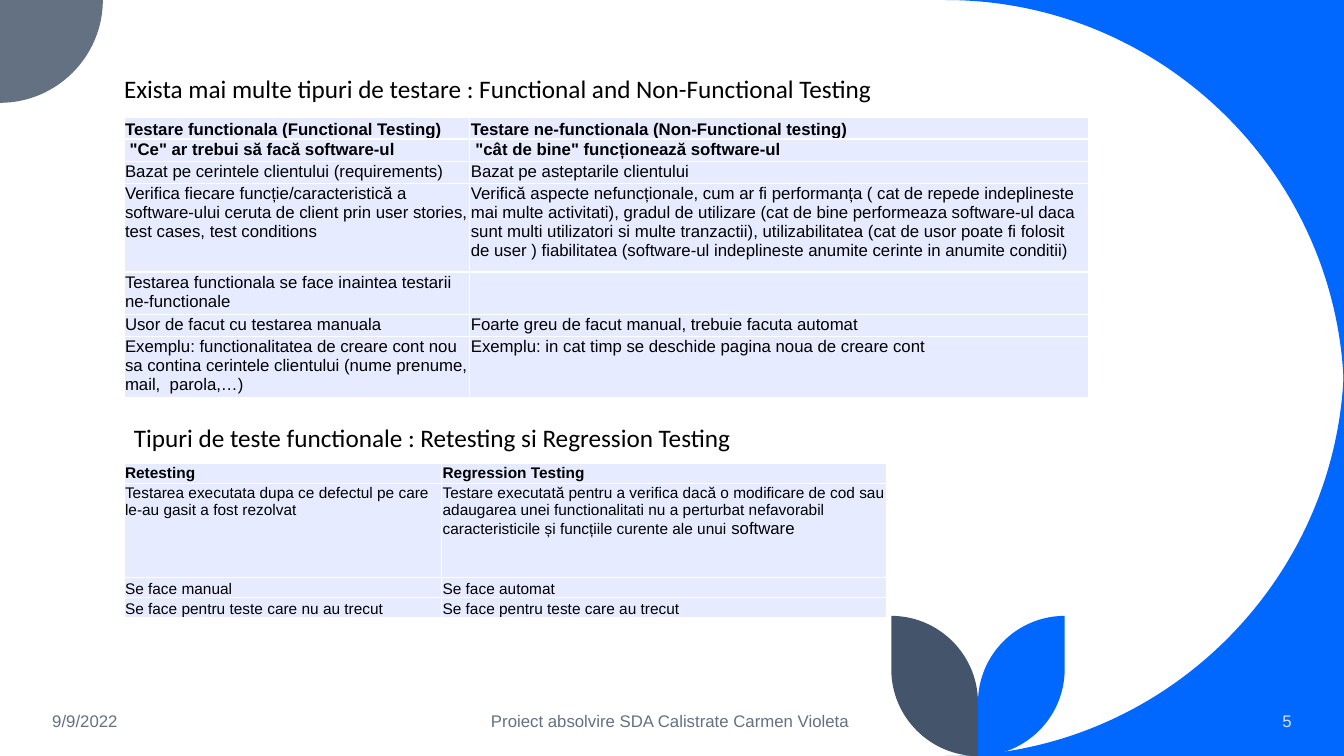
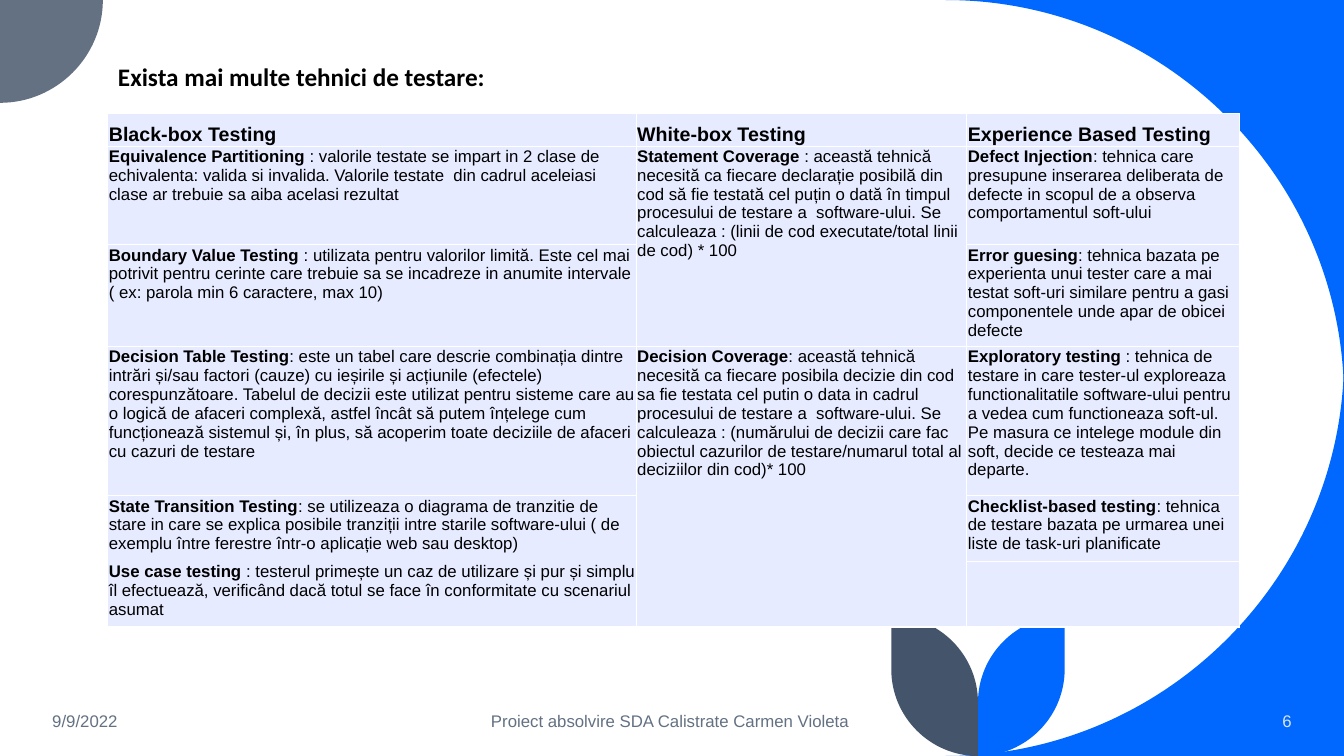
from lxml import etree
from pptx import Presentation
from pptx.dml.color import RGBColor
from pptx.enum.text import MSO_ANCHOR, MSO_AUTO_SIZE, PP_ALIGN
from pptx.oxml.ns import qn
from pptx.util import Inches, Pt

TOP, MIDDLE, BOTTOM = MSO_ANCHOR.TOP, MSO_ANCHOR.MIDDLE, MSO_ANCHOR.BOTTOM
LEFT, CENTER, RIGHT = PP_ALIGN.LEFT, PP_ALIGN.CENTER, PP_ALIGN.RIGHT
NO_AUTOFIT = MSO_AUTO_SIZE.NONE

WIDTH, HEIGHT = 13.33, 7.5
TITLE_ONLY = 5
FIRST_NUMBER = 5
ROUNDNESS = 0.55
DATE = "9/9/2022"
FOOTER = "Proiect absolvire SDA Calistrate Carmen Violeta "


def color(hex_value):
    return RGBColor.from_string(hex_value)


def toward(point, corner):
    return tuple(p + ROUNDNESS * (c - p) for p, c in zip(point, corner))


def quarter(start, corner, end):
    return [toward(start, corner), toward(end, corner), end]


def head(text, size=12):
    return [(text, True, size)]


def plain(text, size=12):
    return [(text, False, size)]


def technique(name, description):
    return head(name) + plain(description)


class Slides:
    BLUE, GRAY, NAVY = "0068FF", "637183", "44546A"
    BLACK, WHITE, PALE, CELL = "000000", "FFFFFF", "DAE5EF", "E7EBFF"
    BODY_FONT, TITLE_FONT = "Arial", "Calibri"

    def __init__(self):
        self.deck = Presentation()
        self.deck.slide_width = Inches(WIDTH)
        self.deck.slide_height = Inches(HEIGHT)
        self.page = None

    def new_page(self):
        self.page = self.deck.slides.add_slide(self.deck.slide_layouts[TITLE_ONLY])
        number = FIRST_NUMBER + len(self.deck.slides) - 1
        self.decorate()
        self.text(DATE, (0.42, 6.95, 3, 0.4), self.GRAY, LEFT)
        self.text(FOOTER, (4.42, 6.95, 4.5, 0.4), self.GRAY, CENTER)
        self.text(str(number), (11.1, 6.95, 1.81, 0.4), self.PALE, RIGHT)

    def decorate(self):
        swoop, corner = 3.95, 1.02
        for edge, tip in ((0, swoop), (HEIGHT, HEIGHT - swoop)):
            start, bend, end = (WIDTH - swoop, edge), (WIDTH, edge), (WIDTH, tip)
            self.outline(bend, [[start], quarter(start, bend, end)], self.BLUE)
        start, bend, end = (corner, 0), (corner, corner), (0, corner)
        self.outline((0, 0), [[start], quarter(start, bend, end)], self.GRAY)
        self.leaf(0.86, self.BLUE)
        self.leaf(-0.86, self.NAVY)

    def leaf(self, reach, fill):
        stem = 9.7
        side = stem + reach
        tip, shoulder, foot, fork = (side, 6.11), (side, 6.64), (stem, HEIGHT), (stem, 6.97)
        self.outline(tip, [[shoulder], quarter(shoulder, (side, HEIGHT), foot),
                           [fork], quarter(fork, (stem, 6.11), tip)], fill)

    def outline(self, start, segments, fill):
        points = [(Inches(x), Inches(y)) for segment in segments for x, y in segment]
        builder = self.page.shapes.build_freeform(Inches(start[0]), Inches(start[1]))
        builder.add_line_segments(points, close=True)
        shape = builder.convert_to_shape()
        steps = iter(list(shape.element.iter(qn("a:lnTo"))))
        for segment in segments:
            first, *others = [next(steps) for _ in segment]
            if others:
                curve = etree.Element(qn("a:cubicBezTo"))
                first.addprevious(curve)
                for step in (first, *others):
                    curve.append(step[0])
                    step.getparent().remove(step)
        shape.shadow.inherit = False
        shape.fill.solid()
        shape.fill.fore_color.rgb = color(fill)
        shape.line.fill.background()

    def span(self, para, text, size, font, tint, bold=False):
        span = para.add_run()
        span.text = text
        span.font.size = Pt(size)
        span.font.name = font
        span.font.bold = bold
        span.font.color.rgb = color(tint)

    def title(self, text, place, anchor, bold=False):
        box = self.page.shapes.title
        box.left, box.top, box.width, box.height = map(Inches, place)
        frame = box.text_frame
        frame.auto_size = NO_AUTOFIT
        frame.word_wrap = True
        frame.vertical_anchor = anchor
        para = frame.paragraphs[0]
        para.alignment = LEFT
        para.line_spacing = 0.9
        self.span(para, text, 18, self.TITLE_FONT, self.BLACK, bold)

    def text(self, text, place, tint, align, anchor=MIDDLE, size=12, font=BODY_FONT):
        frame = self.page.shapes.add_textbox(*map(Inches, place)).text_frame
        frame.word_wrap = True
        frame.vertical_anchor = anchor
        para = frame.paragraphs[0]
        para.alignment = align
        self.span(para, text, size, font, tint)

    def subtitle(self, text, place):
        self.text(text, place, self.BLACK, LEFT, TOP, 18, self.TITLE_FONT)

    def border(self, cell, side, visible):
        line = etree.SubElement(cell._tc.get_or_add_tcPr(), qn("a:" + side), w=str(Pt(1)))
        if visible:
            fill = etree.SubElement(line, qn("a:solidFill"))
            etree.SubElement(fill, qn("a:srgbClr"), val=self.WHITE)
        else:
            etree.SubElement(line, qn("a:noFill"))

    def table(self, left, top, widths, heights, rows, bottom_rows=(), merges=(), open_edges=()):
        frame = self.page.shapes.add_table(
            len(heights), len(widths), Inches(left), Inches(top),
            Inches(sum(widths)), Inches(sum(heights)))
        table = frame.table
        table.first_row = table.horz_banding = False
        for column, width in zip(table.columns, widths):
            column.width = Inches(width)
        for row, height in zip(table.rows, heights):
            row.height = Inches(height)
        for r, row in enumerate(rows):
            for c, spans in enumerate(row):
                cell = table.cell(r, c)
                cell.margin_left = cell.margin_top = Inches(0.01)
                cell.margin_right = cell.margin_bottom = 0
                cell.vertical_anchor = BOTTOM if r in bottom_rows else TOP
                for side in ("lnL", "lnR", "lnT", "lnB"):
                    self.border(cell, side, (r, c, side) not in open_edges)
                cell.fill.solid()
                cell.fill.fore_color.rgb = color(self.CELL)
                for text, bold, size in spans or []:
                    self.span(cell.text_frame.paragraphs[0], text, size,
                              self.BODY_FONT, self.BLACK, bold)
        for first, last in merges:
            table.cell(*first).merge(table.cell(*last))


FUNCTIONAL_ROWS = [
    [head("Testare functionala (Functional Testing)"),
     head("Testare ne-functionala (Non-Functional testing)")],
    [head(' "Ce" ar trebui să facă software-ul'),
     head(' "cât de bine" funcționează software-ul')],
    [plain("Bazat pe cerintele clientului (requirements)"),
     plain("Bazat pe asteptarile clientului")],
    [plain("Verifica fiecare funcție/caracteristică a software-ului ceruta de client prin "
           "user stories, test cases, test conditions"),
     plain("Verifică aspecte nefuncționale, cum ar fi performanța ( cat de repede indeplineste "
           "mai multe activitati), gradul de utilizare (cat de bine performeaza software-ul daca "
           "sunt multi utilizatori si multe tranzactii), utilizabilitatea (cat de usor poate fi "
           "folosit de user ) fiabilitatea (software-ul indeplineste anumite cerinte in anumite "
           "conditii)")],
    [plain("Testarea functionala se face inaintea testarii ne-functionale"), None],
    [plain("Usor de facut cu testarea manuala"),
     plain("Foarte greu de facut manual, trebuie facuta automat")],
    [plain("Exemplu: functionalitatea de creare cont nou sa contina cerintele clientului "
           "(nume prenume, mail,  parola,…)"),
     plain("Exemplu: in cat timp se deschide pagina noua de creare cont")],
]

RETESTING_ROWS = [
    [head("Retesting", 11), head("Regression Testing", 11)],
    [plain("Testarea executata dupa ce defectul pe care le-au gasit a fost rezolvat", 11),
     plain("Testare executată pentru a verifica dacă o modificare de cod sau adaugarea unei "
           "functionalitati nu a perturbat nefavorabil caracteristicile și funcțiile curente "
           "ale unui ", 11) + plain("software")],
    [plain("Se face manual", 11), plain("Se face automat", 11)],
    [plain("Se face pentru teste care nu au trecut", 11),
     plain("Se face pentru teste care au trecut", 11)],
]

TECHNIQUE_ROWS = [
    [head("Black-box Testing", 14), head("White-box Testing", 14),
     head("Experience Based Testing", 14)],
    [technique("Equivalence Partitioning ",
               ": valorile testate se impart in 2 clase de echivalenta: valida si invalida. "
               "Valorile testate  din cadrul aceleiasi clase ar trebuie sa aiba acelasi rezultat"),
     technique("Statement Coverage ",
               ": această tehnică necesită ca fiecare declarație posibilă din cod să fie testată "
               "cel puțin o dată în timpul procesului de testare a  software-ului. Se calculeaza "
               ": (linii de cod executate/total linii de cod) * 100"),
     technique("Defect Injection",
               ": tehnica care presupune inserarea deliberata de defecte in scopul de a observa "
               "comportamentul soft-ului")],
    [technique("Boundary Value Testing ",
               ": utilizata pentru valorilor limită. Este cel mai potrivit pentru cerinte care "
               "trebuie sa se incadreze in anumite intervale ( ex: parola min 6 caractere, "
               "max 10)"),
     None,
     technique("Error guesing",
               ": tehnica bazata pe experienta unui tester care a mai testat soft-uri similare "
               "pentru a gasi componentele unde apar de obicei defecte")],
    [technique("Decision Table Testing",
               ": este un tabel care descrie combinația dintre intrări și/sau factori (cauze) cu "
               "ieșirile și acțiunile (efectele) corespunzătoare. Tabelul de decizii este "
               "utilizat pentru sisteme care au o logică de afaceri complexă, astfel încât să "
               "putem înțelege cum funcționează sistemul și, în plus, să acoperim toate "
               "deciziile de afaceri cu cazuri de testare"),
     technique("Decision Coverage",
               ": această tehnică necesită ca fiecare posibila decizie din cod sa fie testata "
               "cel putin o data in cadrul procesului de testare a  software-ului. Se calculeaza "
               ": (numărului de decizii care fac obiectul cazurilor de testare/numarul total al "
               "deciziilor din cod)* 100"),
     technique("Exploratory testing ",
               ": tehnica de testare in care tester-ul exploreaza functionalitatile "
               "software-ului pentru a vedea cum functioneaza soft-ul. Pe masura ce intelege "
               "module din soft, decide ce testeaza mai departe.")],
    [technique("State Transition Testing",
               ": se utilizeaza o diagrama de tranzitie de stare in care se explica posibile "
               "tranziții intre starile software-ului ( de exemplu între ferestre într-o "
               "aplicație web sau desktop)"),
     None,
     technique("Checklist-based testing",
               ": tehnica de testare bazata pe urmarea unei liste de task-uri planificate")],
    [technique("Use case testing ",
               ": testerul primește un caz de utilizare și pur și simplu îl efectuează, "
               "verificând dacă totul se face în conformitate cu scenariul asumat"),
     None, None],
]


def main():
    slides = Slides()

    slides.new_page()
    slides.title("Exista mai multe tipuri de testare : Functional and Non-Functional Testing",
                 (1.13, 0.71, 10.69, 0.25), TOP)
    slides.table(1.23, 1.16, [3.43, 6.14], [0.22, 0.22, 0.22, 0.88, 0.42, 0.22, 0],
                 FUNCTIONAL_ROWS, bottom_rows={0})
    slides.subtitle("Tipuri de teste functionale : Retesting si Regression Testing",
                    (1.23, 4.14, 9.44, 1.01))
    slides.table(1.23, 4.6, [3.15, 4.41], [0.2, 0.93, 0.2, 0.2],
                 RETESTING_ROWS, bottom_rows={2, 3})

    slides.new_page()
    slides.title("Exista mai multe tehnici de testare:", (1.07, 0.49, 10.69, 0.47), BOTTOM, True)
    slides.table(1.07, 1.13, [5.24, 3.28, 2.7], [0.32, 0.98, 1, 1.48, 0.65, 0.65],
                 TECHNIQUE_ROWS, bottom_rows={0},
                 merges=[((1, 1), (2, 1)), ((3, 1), (5, 1))],
                 open_edges={(4, 0, "lnB"), (5, 0, "lnT")})

    slides.deck.save("out.pptx")


if __name__ == "__main__":
    main()
